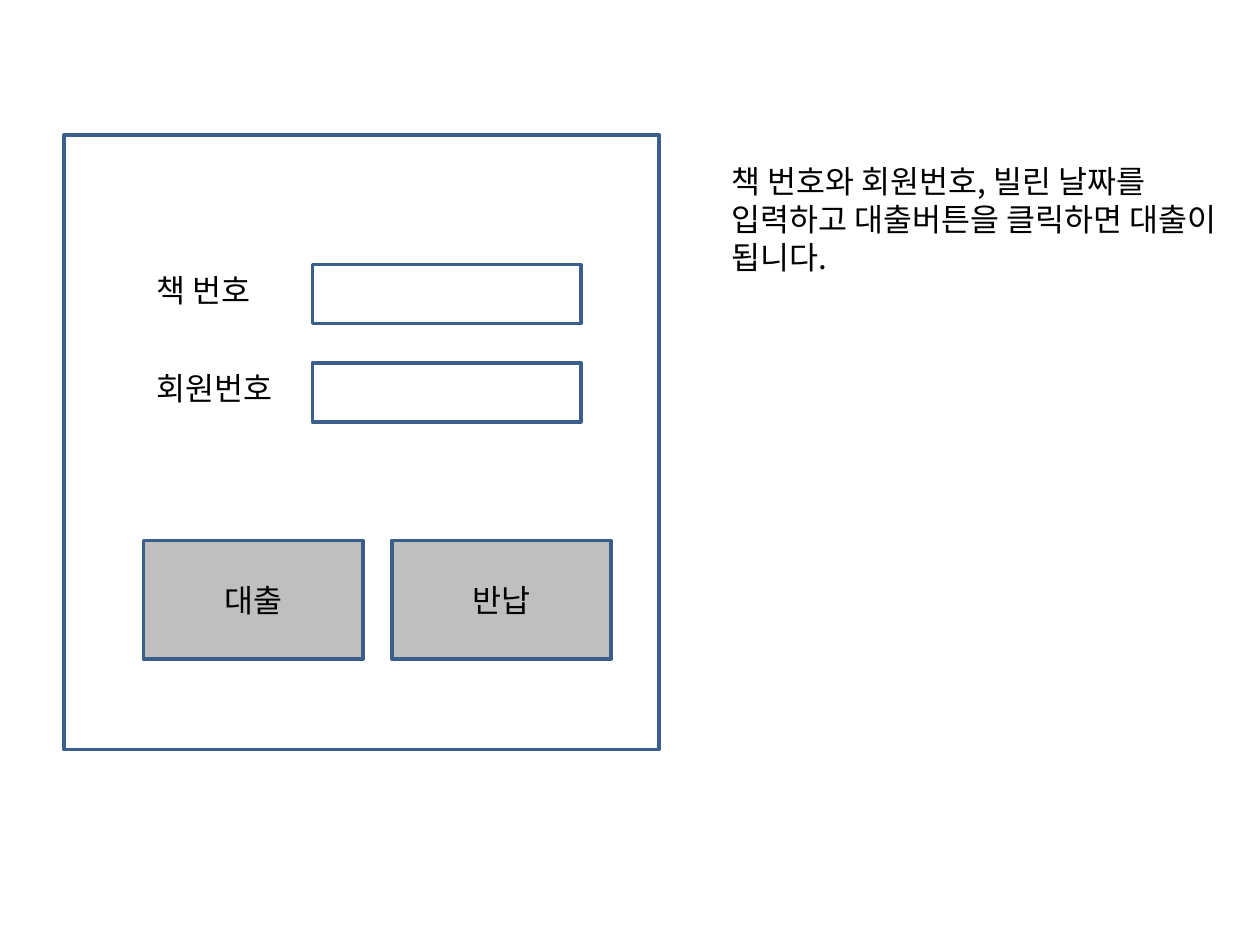
from dataclasses import dataclass

from lxml.etree import SubElement
from pptx import Presentation
from pptx.dml.color import RGBColor
from pptx.enum.shapes import MSO_SHAPE
from pptx.enum.text import MSO_ANCHOR, PP_ALIGN
from pptx.oxml.ns import qn
from pptx.util import Inches, Pt


@dataclass(frozen=True)
class Theme:
    font: str = "Noto Sans CJK KR"
    size: float = 18
    leading: float = 21.8
    border_width: float = 2
    text: RGBColor = RGBColor(0x00, 0x00, 0x00)
    border: RGBColor = RGBColor(0x3A, 0x5F, 0x8C)
    button: RGBColor = RGBColor(0xBF, 0xBF, 0xBF)


class FormSlide:
    """Places form elements on a grid of one-inch columns and rows."""

    def __init__(self, prs, theme):
        self.theme = theme
        self.column = prs.slide_width / 10
        self.row = prs.slide_height / 7.5
        self.slide = prs.slides.add_slide(prs.slide_layouts[6])

    def place(self, x, y, w, h):
        return (int(x * self.column), int(y * self.row),
                int(w * self.column), int(h * self.row))

    def set_text(self, tf, text, align=PP_ALIGN.LEFT):
        tf.word_wrap = True
        p = tf.paragraphs[0]
        p.text = text
        p.alignment = align
        p.line_spacing = Pt(self.theme.leading)
        p.font.size = Pt(self.theme.size)
        p.font.color.rgb = self.theme.text
        p.font.name = self.theme.font
        # Hangul takes its typeface from the East Asian font
        SubElement(p._p.pPr.find(qn("a:defRPr")), qn("a:ea"),
                   typeface=self.theme.font)

    def text(self, text, *box):
        tb = self.slide.shapes.add_textbox(*self.place(*box))
        self.set_text(tb.text_frame, text)

    def frame(self, *box):
        sp = self.slide.shapes.add_shape(MSO_SHAPE.RECTANGLE, *self.place(*box))
        sp.shadow.inherit = False
        sp.fill.background()
        sp.line.color.rgb = self.theme.border
        sp.line.width = Pt(self.theme.border_width)
        return sp

    def field(self, label, y):
        self.text(label, 1.14, y, 1.42, 0.4)
        self.frame(2.48, y, 2.13, 0.47)

    def button(self, caption, *box):
        sp = self.frame(*box)
        sp.fill.solid()
        sp.fill.fore_color.rgb = self.theme.button
        sp.text_frame.vertical_anchor = MSO_ANCHOR.MIDDLE
        self.set_text(sp.text_frame, caption, PP_ALIGN.CENTER)


def main():
    prs = Presentation()
    prs.slide_width, prs.slide_height = Inches(10), Inches(7.5)
    s = FormSlide(prs, Theme())

    for i, label in enumerate(("책 번호", "회원번호")):
        s.field(label, 2.1 + i * 0.78)
    s.frame(0.51, 1.07, 4.72, 4.88)
    for i, caption in enumerate(("대출", "반납")):
        s.button(caption, 1.14 + i * 1.97, 4.29, 1.74, 0.94)
    s.text("책 번호와 회원번호, 빌린 날짜를 입력하고 대출버튼을 클릭하면 대출이 됩니다.",
           5.71, 1.23, 4.09, 1.01)

    prs.save("out.pptx")


if __name__ == "__main__":
    main()
